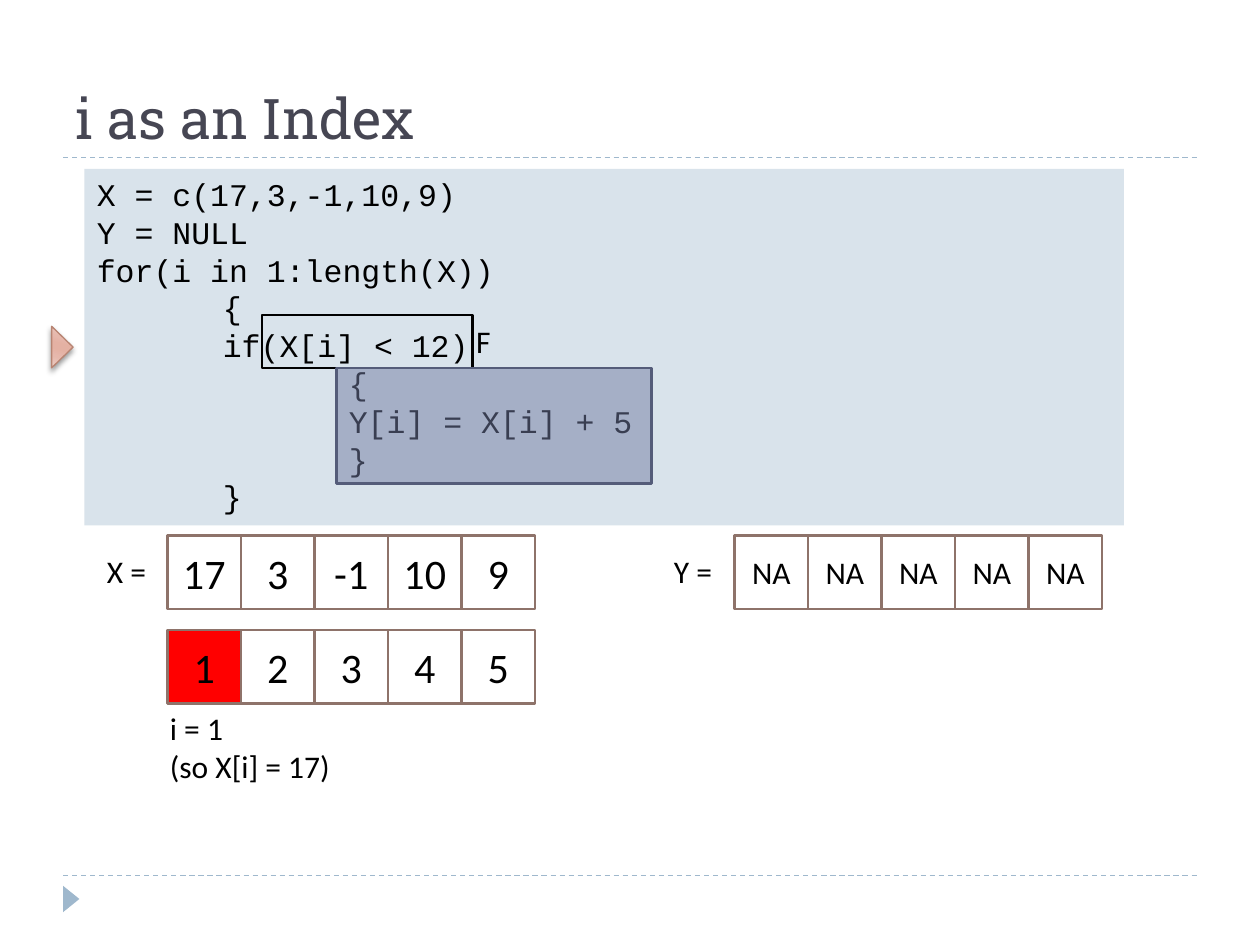
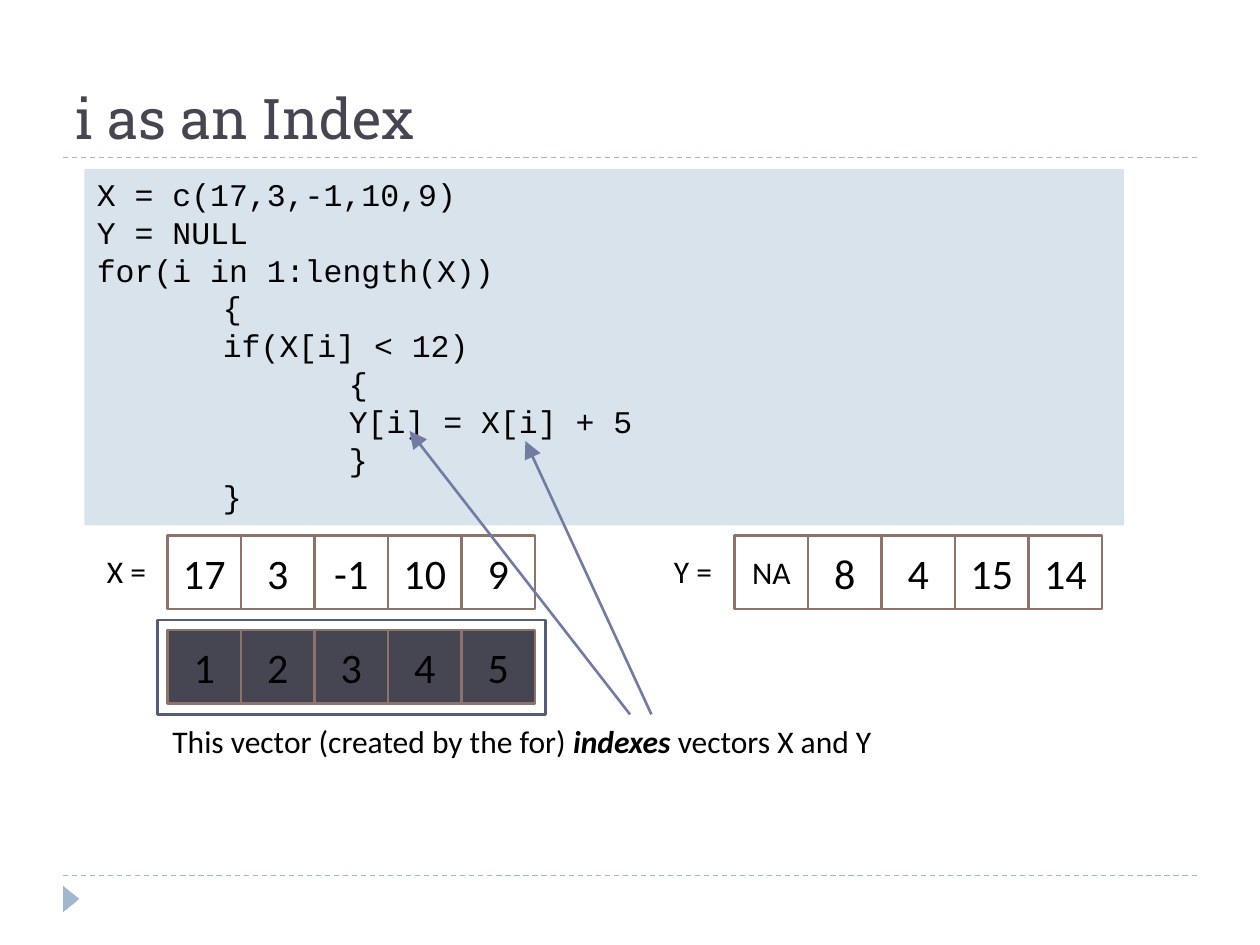
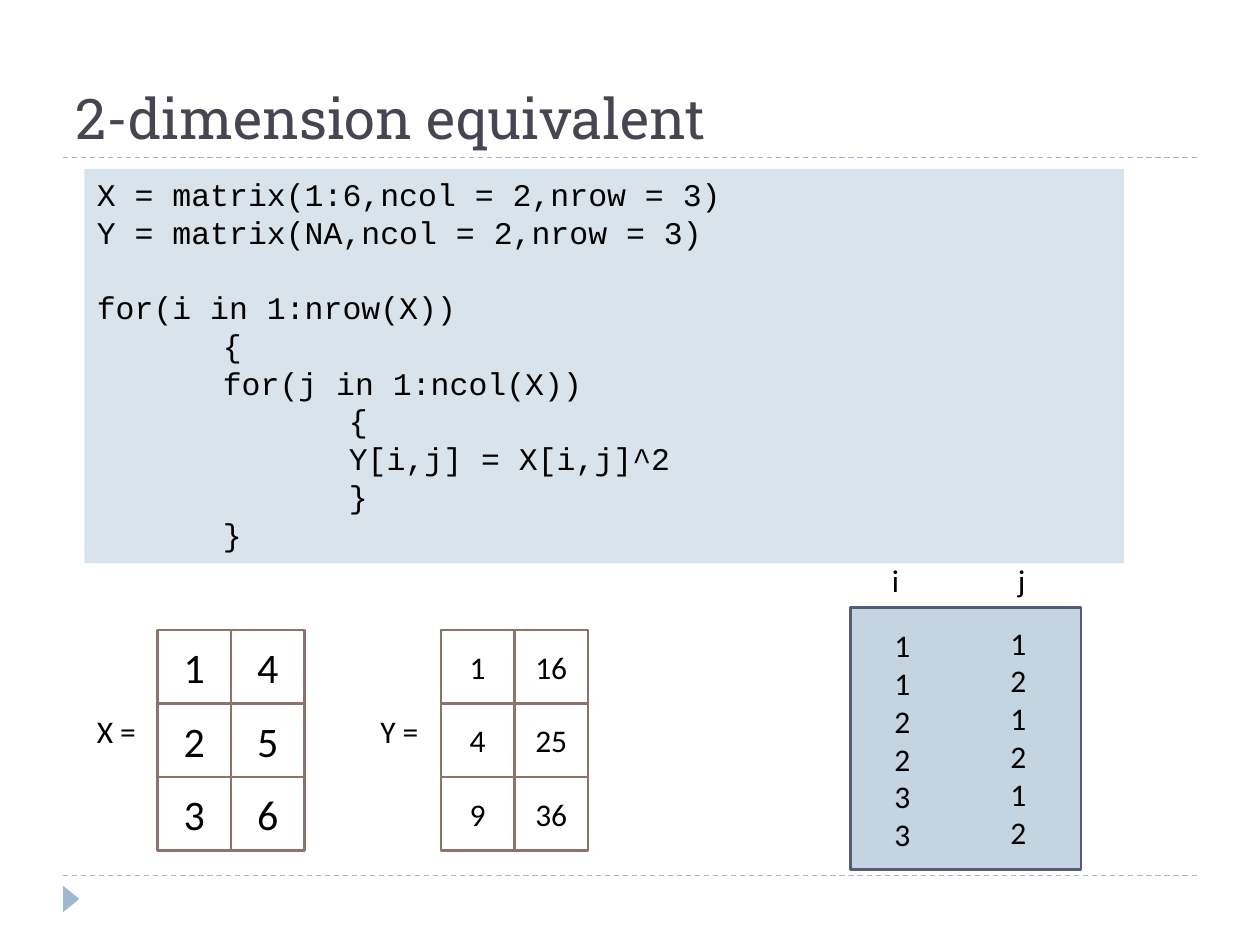
from dataclasses import dataclass
from typing import Any

from lxml.etree import SubElement
from pptx import Presentation
from pptx.dml.color import RGBColor
from pptx.enum.dml import MSO_LINE
from pptx.enum.shapes import MSO_CONNECTOR, MSO_SHAPE
from pptx.enum.text import MSO_ANCHOR, MSO_AUTO_SIZE, PP_ALIGN
from pptx.oxml.ns import qn
from pptx.util import Inches, Pt


# Theme and shared records
@dataclass(frozen=True)
class Theme:
    heading: str = "Roboto Slab"
    body: str = "Calibri"
    mono: str = "Courier New"
    title_size: int = 32
    cell_size: int = 24
    text_size: int = 18
    code_line: float = 21.4
    tab: float = 1
    dark: str = "464653"
    ink: str = "000000"
    white: str = "FFFFFF"
    rule: str = "9FB8CD"
    code: str = "D9E3EB"
    panel: str = "C5D4E1"
    cell_line: str = "8E736A"
    frame: str = "545C79"
    accent: str = "727CA3"
    current: str = "FF0000"
    pointer_line: str = "B88472"
    pointer_stops: tuple = ((0, "ECCEC6"), (30, "E6B8AC"), (45, "E4B1A3"),
                            (55, "E4B1A3"), (73, "E6B8AC"), (100, "ECCEC6"))


T = Theme()
CELL = 7 / 12  # side of one vector or matrix cell


@dataclass(frozen=True)
class Box:
    left: float
    top: float
    width: float
    height: float

    def lengths(self) -> tuple:
        return tuple(Inches(v) for v in (self.left, self.top, self.width, self.height))


@dataclass(frozen=True)
class Grid:
    left: float
    top: float
    rows: tuple
    size: int = T.cell_size
    marked: int = 0  # number of leading cells in mark_fill
    mark_fill: str = T.white


@dataclass(frozen=True)
class Label:
    box: Box
    lines: tuple
    wrap: bool = False


@dataclass(frozen=True)
class Line:
    start: tuple
    end: tuple
    color: str
    weight: float


# Drawing functions
def apply(obj: Any, formats: dict) -> None:
    for name, value in formats.items():
        setattr(obj, name, value)


def write(tf: Any, lines: tuple, font: str = T.body, size: int = T.text_size,
          align: Any = PP_ALIGN.LEFT, color: str = T.ink) -> None:
    """One paragraph a line; text between asterisks is bold italic."""
    for n, line in enumerate(lines):
        p = tf.paragraphs[0] if n == 0 else tf.add_paragraph()
        p.alignment = align
        p._p.get_or_add_pPr().set("defTabSz", str(Inches(T.tab)))
        for k, piece in enumerate(line.split("*")):
            r = p.add_run()
            r.text = piece
            strong = k % 2 == 1
            apply(r.font, {"name": font, "size": Pt(size), "bold": strong, "italic": strong})
            r.font.color.rgb = RGBColor.from_string(color)


def add_box(s: Any, box: Box, fill: str | None = None, line: str | None = None,
            weight: float = 1.5, shape: Any = MSO_SHAPE.RECTANGLE, rotation: float = 0) -> Any:
    sp = s.shapes.add_shape(shape, *box.lengths())
    sp.shadow.inherit = False
    sp.rotation = rotation
    if fill:
        sp.fill.solid()
        sp.fill.fore_color.rgb = RGBColor.from_string(fill)
    else:
        sp.fill.background()
    if line:
        sp.line.color.rgb = RGBColor.from_string(line)
        sp.line.width = Pt(weight)
    else:
        sp.line.fill.background()
    return sp


def add_line(s: Any, line: Line) -> Any:
    ends = [Inches(v) for v in (*line.start, *line.end)]
    cx = s.shapes.add_connector(MSO_CONNECTOR.STRAIGHT, *ends)
    cx.line.color.rgb = RGBColor.from_string(line.color)
    cx.line.width = Pt(line.weight)
    SubElement(cx._element.spPr, qn("a:effectLst"))
    return cx


def add_arrow(s: Any, line: Line) -> None:
    cx = add_line(s, line)
    SubElement(cx.line._get_or_add_ln(), qn("a:tailEnd"), type="triangle", w="lg", len="lg")


def add_label(s: Any, label: Label) -> None:
    tf = s.shapes.add_textbox(*label.box.lengths()).text_frame
    apply(tf, {"word_wrap": label.wrap, "auto_size": MSO_AUTO_SIZE.SHAPE_TO_FIT_TEXT})
    write(tf, label.lines)


def add_grid(s: Any, grid: Grid) -> None:
    for i, row in enumerate(grid.rows):
        for j, value in enumerate(row):
            marked = i * len(row) + j < grid.marked
            box = Box(grid.left + j * CELL, grid.top + i * CELL, CELL, CELL)
            sp = add_box(s, box, grid.mark_fill if marked else T.white, T.cell_line)
            tf = sp.text_frame
            apply(tf, {"word_wrap": True, "vertical_anchor": MSO_ANCHOR.MIDDLE})
            size = T.text_size if value == "NA" else grid.size
            write(tf, (value,), size=size, align=PP_ALIGN.CENTER)


def add_code(s: Any, lines: tuple, height: float) -> Any:
    tf = add_box(s, Box(0.67, 1.34, 8.25, height), T.code).text_frame
    apply(tf, {"word_wrap": True, "vertical_anchor": MSO_ANCHOR.TOP,
               "auto_size": MSO_AUTO_SIZE.SHAPE_TO_FIT_TEXT})
    write(tf, lines, T.mono)
    return tf


def add_pointer(s: Any) -> None:
    sp = add_box(s, Box(0.33, 2.67, 0.33, 0.17), line=T.pointer_line, weight=0.75,
                 shape=MSO_SHAPE.ISOSCELES_TRIANGLE, rotation=90)
    # Gradient fill
    sp.fill.gradient()
    sp.fill.gradient_angle = 344
    stops = sp._element.spPr.find(".//" + qn("a:gsLst"))
    for old in list(stops):
        stops.remove(old)
    for pos, color in T.pointer_stops:
        gs = SubElement(stops, qn("a:gs"), pos=str(pos * 1000))
        SubElement(gs, qn("a:srgbClr"), val=color)
    # Soft shadow below
    effects = sp._element.spPr.find(qn("a:effectLst"))
    shadow = SubElement(effects, qn("a:outerShdw"), blurRad=str(Pt(3)), dist=str(Pt(2)),
                        dir="5400000", rotWithShape="0")
    clr = SubElement(shadow, qn("a:srgbClr"), val=T.ink)
    SubElement(clr, qn("a:alpha"), val="40000")


def add_veil(s: Any, box: Box) -> None:
    sp = add_box(s, box, T.accent, T.frame)
    clr = sp._element.spPr.find(qn("a:solidFill")).find(qn("a:srgbClr"))
    SubElement(clr, qn("a:alpha"), val="50000")


def new_slide(prs: Any, title: str) -> Any:
    s = prs.slides.add_slide(prs.slide_layouts[5])
    for y in (6.95, 1.25):
        cx = add_line(s, Line((0.5, y), (9.5, y), T.rule, 0.75))
        cx.line.dash_style = MSO_LINE.DASH
    add_box(s, Box(0.46, 7.07, 0.21, 0.13), T.rule,
            shape=MSO_SHAPE.ISOSCELES_TRIANGLE, rotation=90)
    sp = s.shapes.title
    apply(sp, dict(zip(("left", "top", "width", "height"), Box(0.5, 0.17, 9, 1.08).lengths())))
    apply(sp.text_frame, {"vertical_anchor": MSO_ANCHOR.BOTTOM, "word_wrap": True,
                          "auto_size": MSO_AUTO_SIZE.NONE})
    write(sp.text_frame, (title,), T.heading, T.title_size, color=T.dark)
    return s


# Content
VECTOR_CODE = ("X = c(17,3,-1,10,9)", "Y = NULL", "for(i in 1:length(X))", "\t{",
               "\tif(X[i] < 12)", "\t\t{", "\t\tY[i] = X[i] + 5", "\t\t}", "\t}")
MATRIX_CODE = ("X = matrix(1:6,ncol = 2,nrow = 3)", "Y = matrix(NA,ncol = 2,nrow = 3)",
               "for(i in 1:nrow(X))", "\t{", "\tfor(j in 1:ncol(X))", "\t\t{",
               "\t\tY[i,j] = X[i,j]^2", "\t\t}", "\t}")
X_VALUES = ("17", "3", "-1", "10", "9")
INDEXES = ("1", "2", "3", "4", "5")


def vector_slide(prs: Any, y_values: tuple, marked: int, mark_fill: str) -> Any:
    s = new_slide(prs, "i as an Index")
    add_code(s, VECTOR_CODE, 2.83)
    add_grid(s, Grid(1.33, 4.25, (X_VALUES,)))
    add_grid(s, Grid(5.83, 4.25, (y_values,)))
    add_grid(s, Grid(1.33, 5, (INDEXES,), marked=marked, mark_fill=mark_fill))
    add_label(s, Label(Box(0.75, 4.33, 0.67, 0.4), ("X =",)))
    add_label(s, Label(Box(5.25, 4.33, 0.57, 0.4), ("Y =",)))
    return s


def first_step(prs: Any) -> None:
    s = vector_slide(prs, ("NA",) * 5, 1, T.current)
    add_pointer(s)
    add_label(s, Label(Box(1.25, 5.58, 1.61, 0.71), ("i = 1", "(so X[i] = 17)")))
    add_box(s, Box(2.08, 2.5, 1.67, 0.42), line=T.ink)
    add_label(s, Label(Box(3.68, 2.51, 0.32, 0.4), ("F",)))
    add_veil(s, Box(2.67, 2.92, 2.5, 0.92))


def index_vector(prs: Any) -> None:
    s = vector_slide(prs, ("NA", "8", "4", "15", "14"), 5, T.dark)
    add_box(s, Box(1.25, 4.92, 3.08, 0.75), line=T.frame)
    add_label(s, Label(Box(1.27, 5.68, 6.23, 0.4),
                       ("This vector (created by the for) *indexes *vectors X and Y",)))
    for start, end in (((5, 5.67), (3.25, 3.42)), ((5.17, 5.67), (4.17, 3.5))):
        add_arrow(s, Line(start, end, T.accent, 1.5))


def matrices(prs: Any) -> None:
    s = new_slide(prs, "2-dimension equivalent")
    tf = add_code(s, MATRIX_CODE, 3.13)
    tf.paragraphs[2].space_before = Pt(T.code_line)
    add_grid(s, Grid(1.25, 5, (("1", "4"), ("2", "5"), ("3", "6"))))
    add_grid(s, Grid(3.5, 5, (("1", "16"), ("4", "25"), ("9", "36")), T.text_size))
    add_box(s, Box(6.75, 4.82, 1.83, 2.08), T.panel, T.frame)
    for label in (
        Label(Box(0.67, 5.6, 0.67, 0.4), ("X =",)),
        Label(Box(2.92, 5.6, 0.64, 0.4), ("Y =",)),
        Label(Box(6.98, 4.4, 1.27, 0.4), ("i\tj",)),
        Label(Box(7, 4.92, 0.5, 2.22), tuple("112233"), True),
        Label(Box(7.92, 4.9, 0.5, 2.22), tuple("121212"), True),
    ):
        add_label(s, label)


def main() -> None:
    prs = Presentation()
    apply(prs, {"slide_width": Inches(10), "slide_height": Inches(7.5)})
    first_step(prs)
    index_vector(prs)
    matrices(prs)
    prs.save("out.pptx")


if __name__ == "__main__":
    main()
